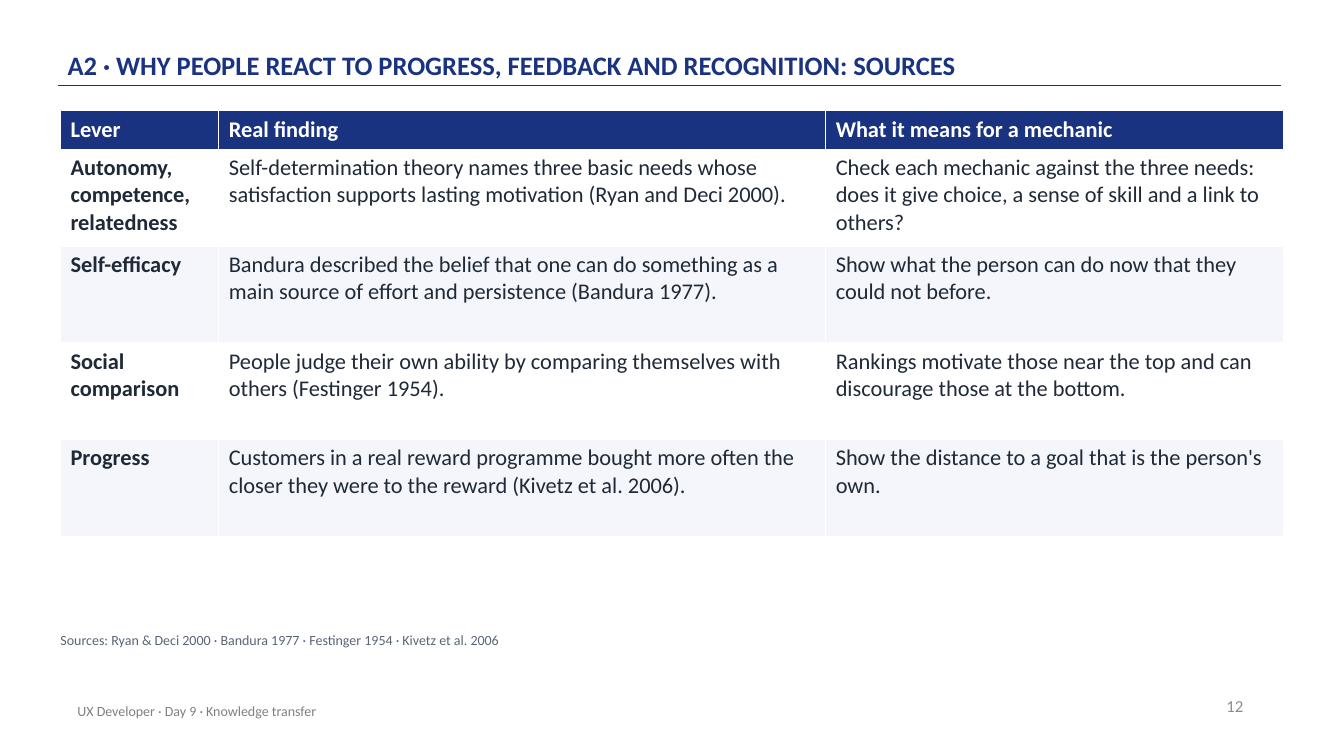
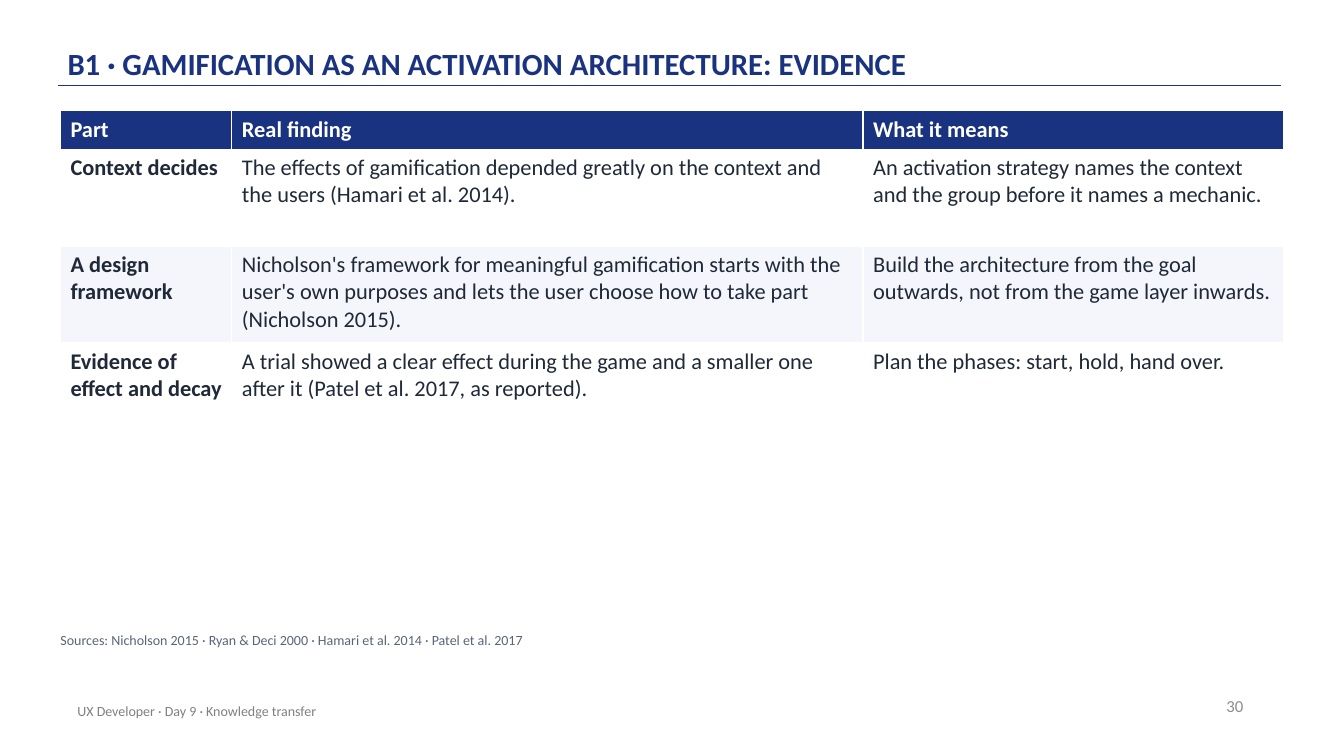
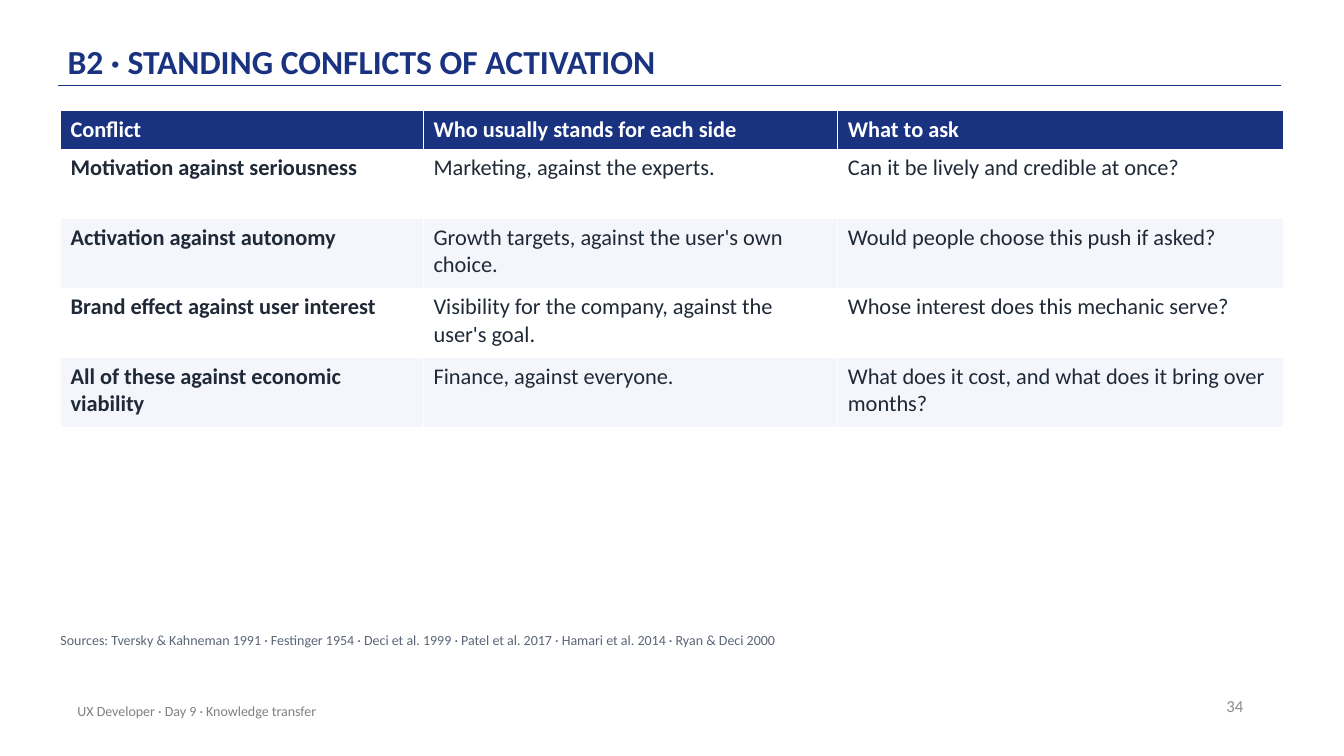
from dataclasses import dataclass

from lxml import etree
from pptx import Presentation
from pptx.dml.color import RGBColor
from pptx.enum.shapes import MSO_CONNECTOR
from pptx.enum.text import MSO_ANCHOR, MSO_AUTO_SIZE, PP_ALIGN
from pptx.oxml.ns import qn
from pptx.util import Inches, Pt

STRAIGHT = MSO_CONNECTOR.STRAIGHT
TOP, MIDDLE, BOTTOM = MSO_ANCHOR.TOP, MSO_ANCHOR.MIDDLE, MSO_ANCHOR.BOTTOM
LEFT, RIGHT = PP_ALIGN.LEFT, PP_ALIGN.RIGHT
FIT = MSO_AUTO_SIZE.SHAPE_TO_FIT_TEXT


@dataclass(frozen=True)
class Theme:
    font: str = "Calibri"
    navy: str = "1A3381"
    ink: str = "1F2937"
    slate: str = "5B6577"
    gray: str = "808080"
    pale: str = "8C8C8C"
    white: str = "FFFFFF"
    band: str = "F4F6FB"
    body: int = 16
    page: int = 12
    small: int = 10


class Deck:
    def __init__(self, theme):
        self.theme = theme
        self.file = Presentation()
        self.file.slide_width = Inches(13.33)
        self.file.slide_height = Inches(7.5)
        self.slide = None

    def add_run(self, para, text, size, color, bold=False):
        run = para.add_run()
        run.text = text
        font = run.font
        font.name = self.theme.font
        font.size = Pt(size)
        font.bold = bold
        font.color.rgb = RGBColor.from_string(color)

    def text(self, text, box, size, color, bold=False, anchor=MIDDLE,
             align=LEFT, inset=(0.1, 0.05)):
        shape = self.slide.shapes.add_textbox(*map(Inches, box))
        frame = shape.text_frame
        frame.word_wrap = True
        frame.vertical_anchor = anchor
        frame.margin_left = frame.margin_right = Inches(inset[0])
        frame.margin_top = frame.margin_bottom = Inches(inset[1])
        para = frame.paragraphs[0]
        para.alignment = align
        self.add_run(para, text, size, color, bold)
        return frame

    def rule(self):
        ends = map(Inches, (12.71, 0.85, 0.58, 0.85))
        line = self.slide.shapes.add_connector(STRAIGHT, *ends)
        line.line.color.rgb = RGBColor.from_string(self.theme.navy)
        line.line.width = Pt(1)
        etree.SubElement(line._element.spPr, qn("a:effectLst"))

    def start(self, title, size, page):
        look = self.theme
        self.slide = self.file.slides.add_slide(self.file.slide_layouts[6])
        self.rule()
        frame = self.text(title, (0.67, 0.12, 11, 0.72), size, look.navy,
                          bold=True, anchor=BOTTOM, inset=(0, 0.03))
        frame.paragraphs[0].line_spacing = 0.9
        self.text(str(page), (9.43, 6.8, 3, 0.4), look.page, look.pale,
                  align=RIGHT)
        self.text("UX Developer · Day 9 · Knowledge transfer",
                  (0.67, 6.85, 6.7, 0.4), look.small, look.gray)

    def table(self, widths, lines, rows):
        look = self.theme
        head, step = 0.38, 0.15 + 0.27 * lines
        tall = head + step * (len(rows) - 1)
        box = map(Inches, (0.6, 1.1, sum(widths), tall))
        grid = self.slide.shapes.add_table(len(rows), len(widths), *box).table
        grid.horz_banding = False
        for col, width in zip(grid.columns, widths):
            col.width = Inches(width)
        for r, row in enumerate(rows):
            grid.rows[r].height = Inches(step if r else head)
            fill = (look.white if r % 2 else look.band) if r else look.navy
            color = look.ink if r else look.white
            for c, text in enumerate(row):
                cell = grid.cell(r, c)
                cell.fill.solid()
                cell.fill.fore_color.rgb = RGBColor.from_string(fill)
                self.add_run(cell.text_frame.paragraphs[0], text, look.body,
                             color, bold=r == 0 or c == 0)

    def source(self, *names):
        look = self.theme
        frame = self.text("Sources: " + " · ".join(names),
                          (0.6, 6.27, 12.1, 0.3), look.small, look.slate,
                          anchor=TOP, inset=(0, 0))
        frame.auto_size = FIT
        frame.paragraphs[0].space_after = Pt(6)


def main():
    deck = Deck(Theme())

    deck.start("A2 · WHY PEOPLE REACT TO PROGRESS, FEEDBACK AND RECOGNITION: SOURCES", 19, 12)
    deck.table((1.57, 6.02, 4.54), 3, [
        ("Lever", "Real finding", "What it means for a mechanic"),
        ("Autonomy, competence, relatedness",
         "Self-determination theory names three basic needs whose satisfaction supports lasting motivation (Ryan and Deci 2000).",
         "Check each mechanic against the three needs: does it give choice, a sense of skill and a link to others?"),
        ("Self-efficacy",
         "Bandura described the belief that one can do something as a main source of effort and persistence (Bandura 1977).",
         "Show what the person can do now that they could not before."),
        ("Social comparison",
         "People judge their own ability by comparing themselves with others (Festinger 1954).",
         "Rankings motivate those near the top and can discourage those at the bottom."),
        ("Progress",
         "Customers in a real reward programme bought more often the closer they were to the reward (Kivetz et al. 2006).",
         "Show the distance to a goal that is the person's own."),
    ])
    deck.source("Ryan & Deci 2000", "Bandura 1977", "Festinger 1954",
                "Kivetz et al. 2006")

    deck.start("B1 · GAMIFICATION AS AN ACTIVATION ARCHITECTURE: EVIDENCE", 22, 30)
    deck.table((1.7, 6.26, 4.17), 3, [
        ("Part", "Real finding", "What it means"),
        ("Context decides",
         "The effects of gamification depended greatly on the context and the users (Hamari et al. 2014).",
         "An activation strategy names the context and the group before it names a mechanic."),
        ("A design framework",
         "Nicholson's framework for meaningful gamification starts with the user's own purposes and lets the user choose how to take part (Nicholson 2015).",
         "Build the architecture from the goal outwards, not from the game layer inwards."),
        ("Evidence of effect and decay",
         "A trial showed a clear effect during the game and a smaller one after it (Patel et al. 2017, as reported).",
         "Plan the phases: start, hold, hand over."),
    ])
    deck.source("Nicholson 2015", "Ryan & Deci 2000", "Hamari et al. 2014",
                "Patel et al. 2017")

    deck.start("B2 · STANDING CONFLICTS OF ACTIVATION", 24, 34)
    deck.table((3.6, 4.11, 4.42), 2, [
        ("Conflict", "Who usually stands for each side", "What to ask"),
        ("Motivation against seriousness", "Marketing, against the experts.",
         "Can it be lively and credible at once?"),
        ("Activation against autonomy",
         "Growth targets, against the user's own choice.",
         "Would people choose this push if asked?"),
        ("Brand effect against user interest",
         "Visibility for the company, against the user's goal.",
         "Whose interest does this mechanic serve?"),
        ("All of these against economic viability",
         "Finance, against everyone.",
         "What does it cost, and what does it bring over months?"),
    ])
    deck.source("Tversky & Kahneman 1991", "Festinger 1954",
                "Deci et al. 1999", "Patel et al. 2017",
                "Hamari et al. 2014", "Ryan & Deci 2000")

    deck.file.save("out.pptx")


if __name__ == "__main__":
    main()
